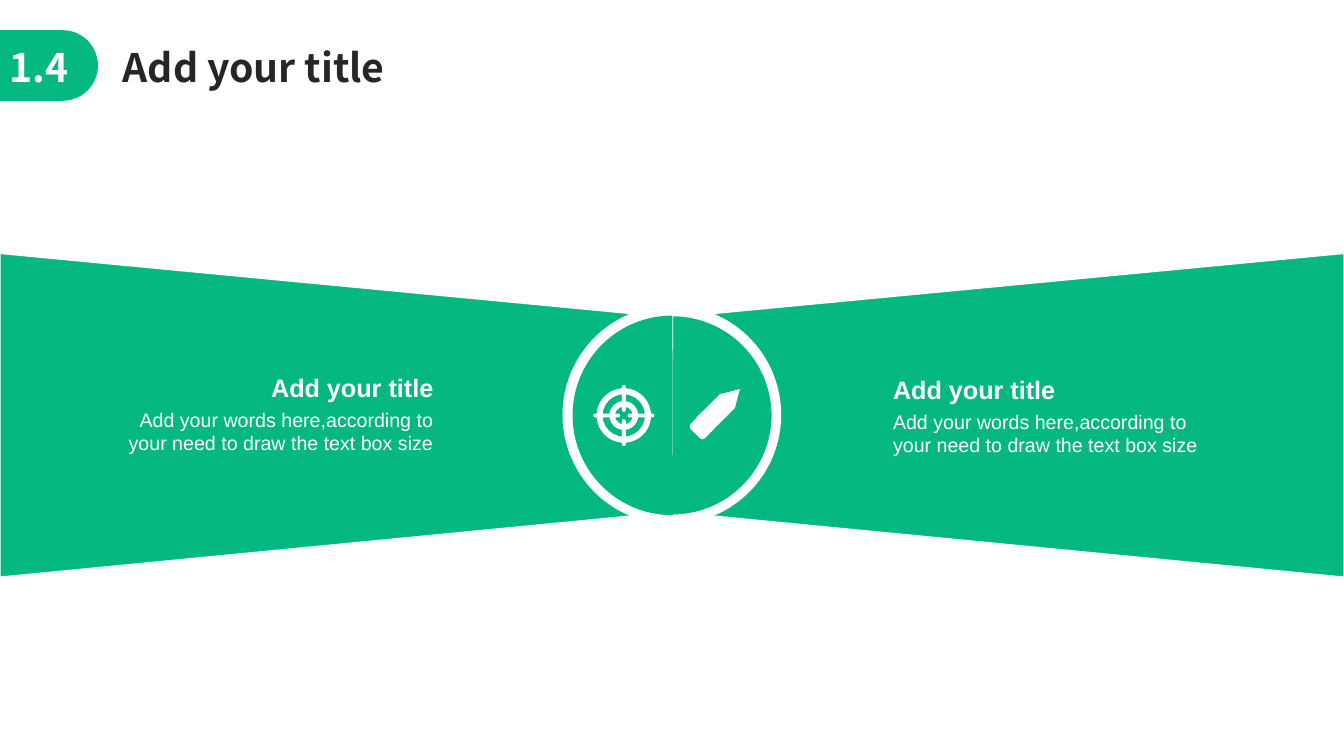
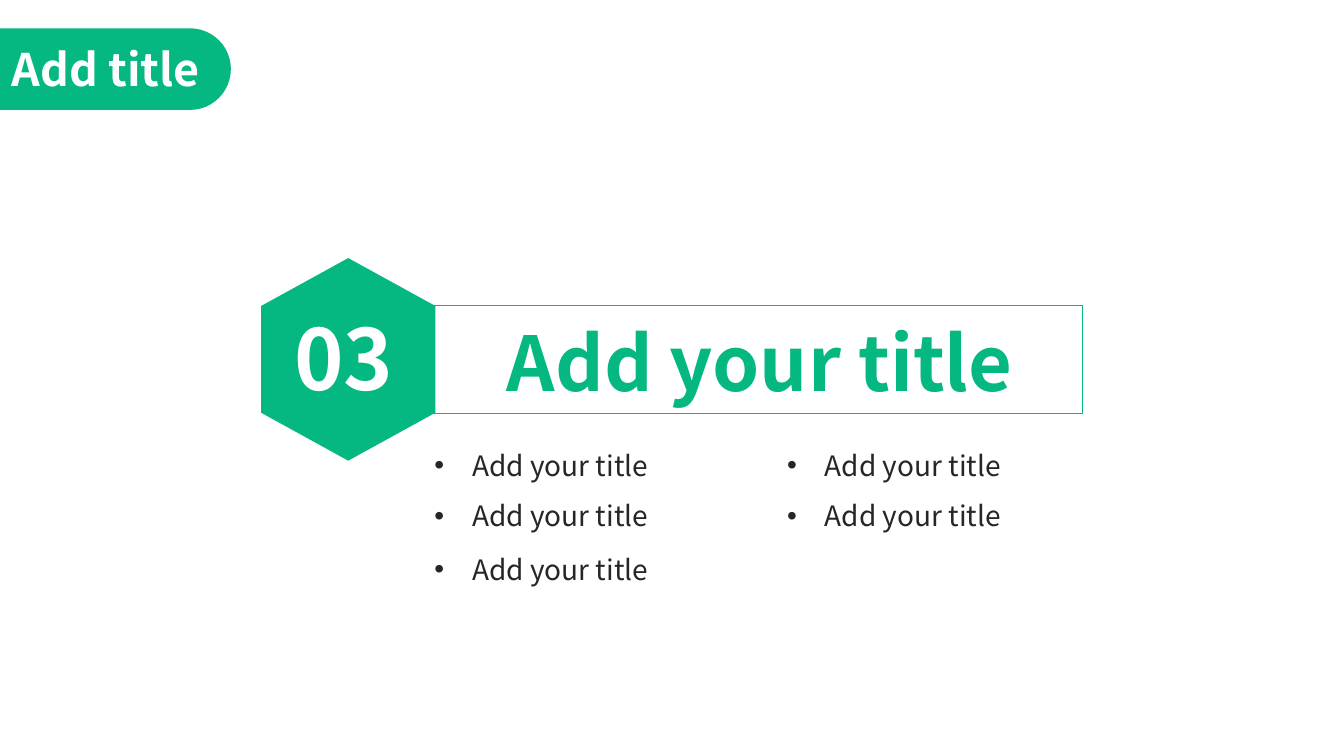
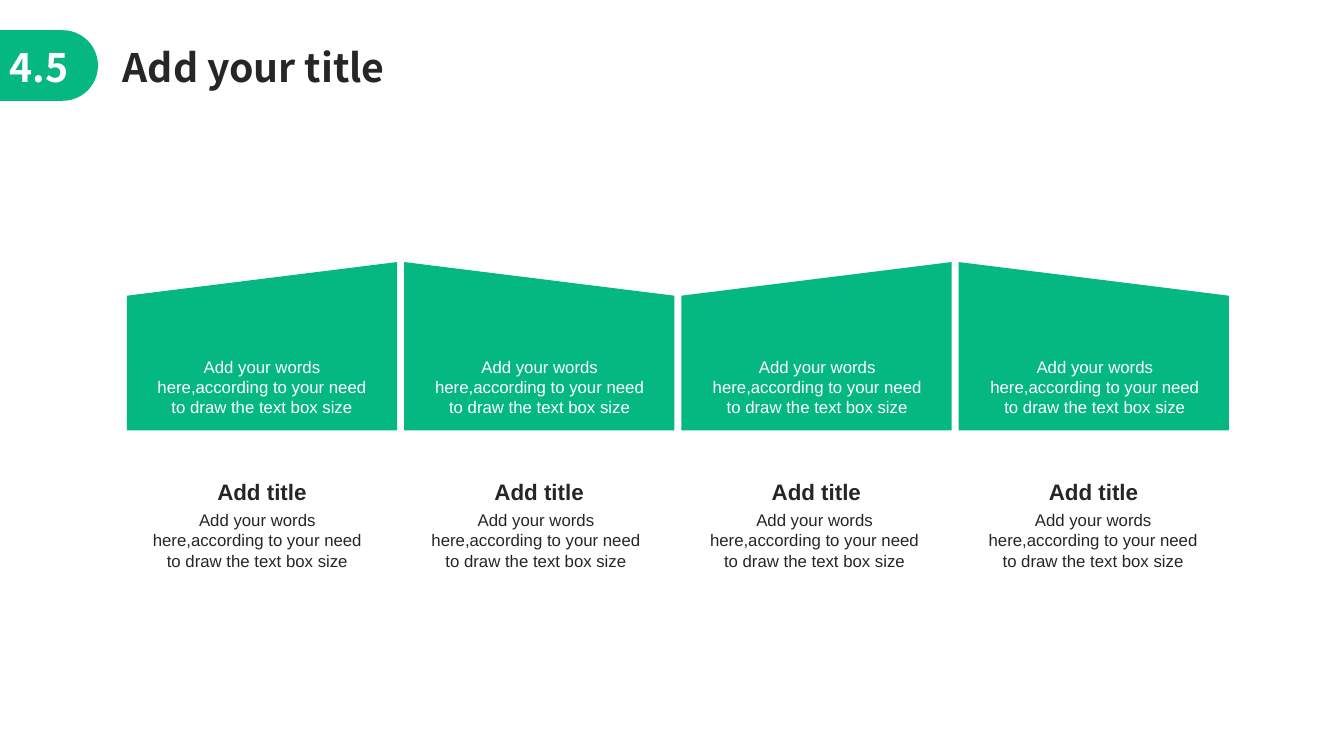
from pptx import Presentation
from pptx.dml.color import RGBColor
from pptx.enum.shapes import MSO_SHAPE as Preset
from pptx.enum.text import MSO_AUTO_SIZE as AutoSize, PP_ALIGN as Align
from pptx.oxml.ns import qn
from pptx.util import Pt
from lxml.etree import SubElement

COLORS = {"green": "05B780", "white": "FFFFFF", "dark": "262626"}
HEADING_FONT = "Noto Sans CJK SC"
BODY_FONT = "Arial"
WIDTH, HEIGHT = 960, 540

TITLE = "Add your title"
SHORT_TITLE = "Add title"
WORDS = "Add your words here,according to your need to draw the text box size"

WING = [(0, 412.3), (0, 181), (480, 226.8), (480, 365.8)]
WING_TEXTS = [
    (80.6, 265.7, 229, Align.RIGHT),
    (637.9, 267.1, 218.2, Align.LEFT),
]
BULLET_COLUMNS = [(303.1, [316.8, 352.8, 391]), (555.1, [316.8, 352.8])]
CARDS = [(SHORT_TITLE, WORDS, WORDS)] * 4


def rgb(name):
    return RGBColor.from_string(COLORS[name])


def paint(shape, fill, line=None):
    shape.shadow.inherit = False
    if fill:
        shape.fill.solid()
        shape.fill.fore_color.rgb = rgb(fill)
    else:
        shape.fill.background()
    if line:
        shape.line.color.rgb = rgb(line)
        shape.line.width = Pt(1)
    else:
        shape.line.fill.background()
    return shape


def add_preset(page, preset, left, top, width, height, fill, line=None,
               adjust=(), rotation=0, mirrored=False):
    shape = page.shapes.add_shape(preset, Pt(left), Pt(top), Pt(width), Pt(height))
    for index, value in enumerate(adjust):
        shape.adjustments[index] = value
    shape.rotation = rotation
    if mirrored:
        shape.element.spPr.get_or_add_xfrm().set("flipH", "1")
    return paint(shape, fill, line)


def add_centered(page, preset, center, size, **style):
    (x, y), (width, height) = center, size
    return add_preset(page, preset, x - width / 2, y - height / 2,
                      width, height, "white", **style)


def add_outline(page, points, fill, line=None):
    corners = [(Pt(x), Pt(y)) for x, y in points]
    builder = page.shapes.build_freeform(*corners[0])
    builder.add_line_segments(corners[1:], close=True)
    return paint(builder.convert_to_shape(), fill, line)


def add_text(page, text, left, top, width, height, size, color,
             font=BODY_FONT, bold=False, align=Align.LEFT, inset=False):
    box = page.shapes.add_textbox(Pt(left), Pt(top), Pt(width), Pt(height))
    frame = box.text_frame
    frame.word_wrap = True
    frame.auto_size = AutoSize.SHAPE_TO_FIT_TEXT
    if not inset:
        frame.margin_left = frame.margin_right = 0
        frame.margin_top = frame.margin_bottom = 0
    para = frame.paragraphs[0]
    para.text = text
    para.alignment = align
    para.font.name = font
    para.font.size = Pt(size)
    para.font.bold = bold
    para.font.color.rgb = rgb(color)
    return para


def add_heading(page, text, left, top, width, height, size, color, bold=True):
    return add_text(page, text, left, top, width, height, size, color,
                    HEADING_FONT, bold, inset=True)


def add_tab(page, top, width, height):
    add_preset(page, Preset.ROUND_2_SAME_RECTANGLE, (width - height) / 2,
               top - (width - height) / 2, height, width, "green",
               adjust=(0.5, 0), rotation=90)


def add_header(page, number):
    add_tab(page, 21.6, 70, 50.4)
    add_heading(page, number, 0, 27.4, 64.1, 41, 28, "white")
    add_heading(page, TITLE, 80.6, 27.4, 237, 41, 28, "dark")


def add_bullet(para):
    properties = para._p.get_or_add_pPr()
    properties.set("marL", str(Pt(27)))
    properties.set("indent", str(-Pt(27)))
    SubElement(properties, qn("a:buFont")).set("typeface", "Arial")
    SubElement(properties, qn("a:buChar")).set("char", "•")


def draw_target(page, x, y):
    reach = 12.2
    for step in (-reach, reach):
        add_centered(page, Preset.ROUNDED_RECTANGLE, (x, y + step), (2.8, 19.2), adjust=[0.5])
        add_centered(page, Preset.ROUNDED_RECTANGLE, (x + step, y), (19.2, 2.8), adjust=[0.5])
    for size, thickness in ((38.9, 0.11), (20.6, 0.19)):
        add_centered(page, Preset.DONUT, (x, y), (size, size), adjust=[thickness])


def draw_pencil(page):
    add_outline(page, [(524.9, 291.6), (514.8, 281.5), (528.5, 277.9)], "white")
    for strip in range(3):
        center = (507.8 + 3.4 * strip, 291.5 + 3.4 * strip)
        add_centered(page, Preset.ROUNDED_RECTANGLE, center, (24.6, 5),
                     adjust=[0.1], rotation=-45)
    add_centered(page, Preset.RECTANGLE, (502.4, 303.8), (14.4, 3.9), rotation=45)
    add_centered(page, Preset.ROUND_2_SAME_RECTANGLE, (498.9, 307.4), (14.4, 6.5),
                 adjust=(0.4, 0), rotation=225)


def build_comparison(page):
    add_header(page, "1.4")
    add_outline(page, WING, "green", "white")
    add_outline(page, [(WIDTH - x, y) for x, y in WING], "green", "white")
    add_preset(page, Preset.OVAL, 401.8, 218.2, 156.2, 156.2, "white")
    for mirrored, line in ((True, "white"), (False, None)):
        add_preset(page, Preset.CHORD, 409, 225.4, 142.6, 142.6, "green", line,
                   adjust=(53.83, 162), mirrored=mirrored)
    for left, top, width, align in WING_TEXTS:
        add_text(page, TITLE, left, top, width, 21.6, 18, "white", bold=True, align=align)
        add_text(page, WORDS, left, top + 25.6, width, 33.8, 14, "white", align=align)
    draw_target(page, 445.6, 296.8)
    draw_pencil(page)


def build_section(page):
    add_tab(page, 20.2, 164.9, 58.3)
    for left, tops in BULLET_COLUMNS:
        for top in tops:
            add_bullet(add_heading(page, TITLE, left, top, 173.5, 31.7, 20, "dark", bold=False))
    add_preset(page, Preset.RECTANGLE, 307.4, 218.2, 465.8, 77, None, "green")
    add_heading(page, TITLE, 355, 221.8, 393.8, 72.7, 54, "green")
    add_preset(page, Preset.HEXAGON, 176.4, 194.4, 144.7, 124.6, "green",
               adjust=[0.275], rotation=90)
    add_heading(page, "03", 203, 215.3, 95, 79.9, 60, "white")
    add_heading(page, SHORT_TITLE, 1.4, 26.6, 160.6, 46.1, 32, "white")


def build_cards(page):
    add_header(page, "4.5")
    for index, (title, caption, words) in enumerate(CARDS):
        left = 90.7 + 198 * index
        add_preset(page, Preset.FLOWCHART_MANUAL_INPUT, left, 187.2, 193, 120.2,
                   "green", mirrored=index % 2 == 1)
        add_text(page, title, left + 4.3, 341.3, 184.3, 19.4, 16, "dark",
                 bold=True, align=Align.CENTER)
        add_text(page, caption, 105.8 + 199 * index, 364.3, 156.2, 43.9, 12, "dark",
                 align=Align.CENTER)
        add_text(page, words, 108 + 198.3 * index, 254.9, 158.4, 43.9, 12, "white",
                 align=Align.CENTER)


def main():
    deck = Presentation()
    deck.slide_width, deck.slide_height = Pt(WIDTH), Pt(HEIGHT)
    for build in (build_comparison, build_section, build_cards):
        build(deck.slides.add_slide(deck.slide_layouts[6]))
    deck.save("out.pptx")


if __name__ == "__main__":
    main()
